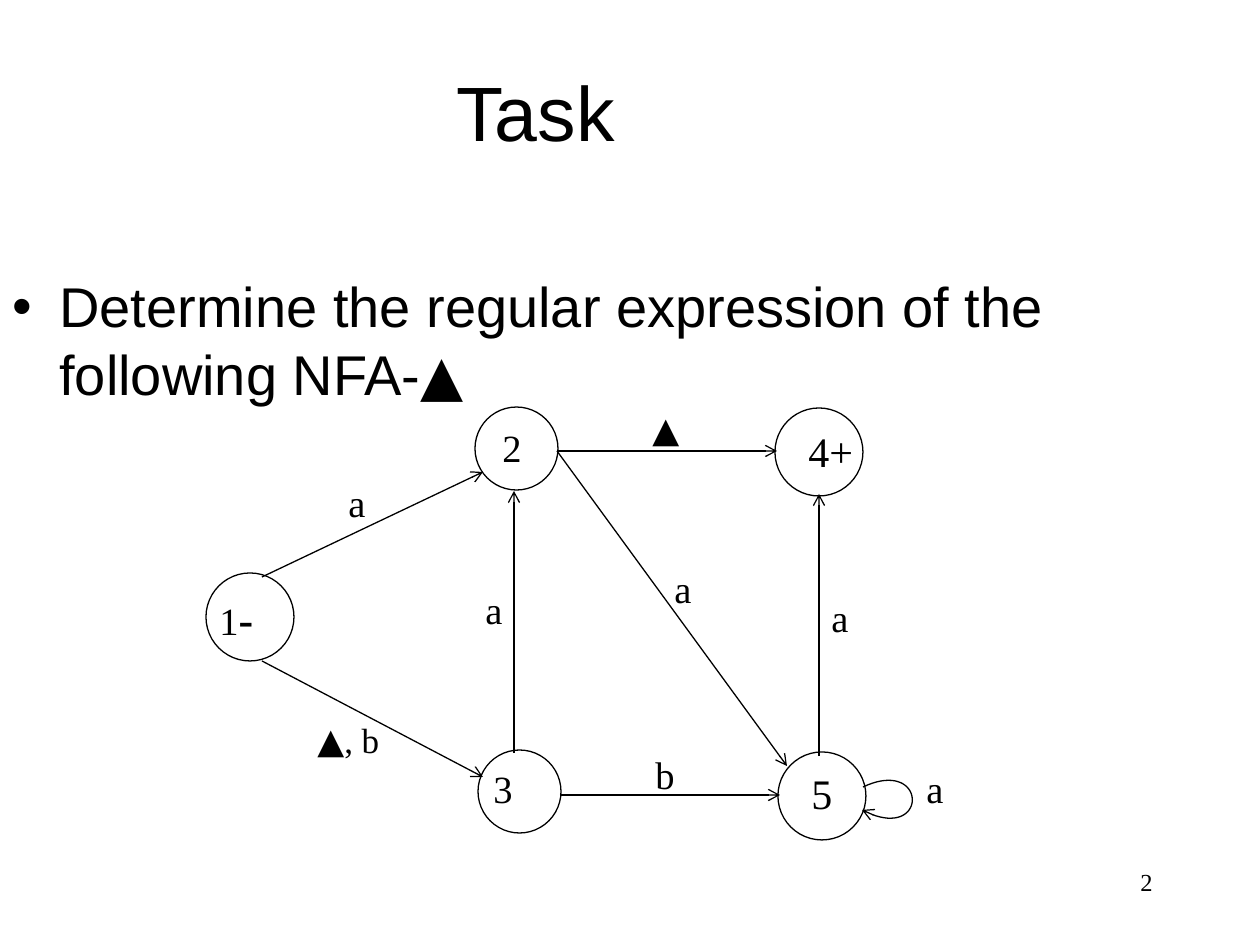
from dataclasses import dataclass

from lxml.etree import SubElement
from pptx import Presentation
from pptx.dml.color import RGBColor
from pptx.enum.shapes import MSO_CONNECTOR, MSO_SHAPE
from pptx.enum.text import MSO_ANCHOR, PP_ALIGN
from pptx.oxml.ns import qn
from pptx.util import Pt

SCALE = 914400 / 126


@dataclass(frozen=True)
class Theme:
    """Colours, fonts and type sizes of the slide."""
    ink: RGBColor = RGBColor(0, 0, 0)
    paper: RGBColor = RGBColor(255, 255, 255)
    sans: str = "Arial"
    serif: str = "Times New Roman"
    mark: str = "Cambria"
    title: int = 44
    body: int = 32
    big: int = 24
    dash: int = 25
    label: int = 22
    null: int = 20
    page: int = 14
    line: float = 0.75


def px(value):
    """Turn px into EMU."""
    return round(value * SCALE)


def put(para, text, *, font, size, color, bold=False):
    """Add one formatted run to a paragraph."""
    run = para.add_run()
    run.text = text
    run.font.name = font
    run.font.size = Pt(size)
    run.font.bold = bold
    run.font.color.rgb = color


class Sketch:
    """Draw text and automaton parts on one slide in one style."""

    def __init__(self, slide, theme):
        """Keep the slide and its theme."""
        self.shapes = slide.shapes
        self.theme = theme

    def text(self, box, *runs, align=PP_ALIGN.LEFT, anchor=MSO_ANCHOR.TOP, pad=6):
        """Add a text box of (text, font, size, bold) runs."""
        frame = self.shapes.add_textbox(*map(px, box)).text_frame
        frame.word_wrap = True
        frame.vertical_anchor = anchor
        frame.margin_top = px(pad)
        para = frame.paragraphs[0]
        para.alignment = align
        for text, font, size, *bold in runs:
            put(para, text, font=font, size=size, color=self.theme.ink, bold=any(bold))
        return para

    def bullet(self, box, *runs, indent):
        """Add a text box with one bulleted paragraph."""
        props = self.text(box, *runs, pad=12)._p.get_or_add_pPr()
        props.set("marL", str(px(indent)))
        props.set("indent", str(-px(indent)))
        SubElement(props, qn("a:buFont"), typeface=self.theme.sans)
        SubElement(props, qn("a:buChar"), char="•")

    def state(self, left, top, size):
        """Add the circle of a state."""
        ring = self.shapes.add_shape(MSO_SHAPE.OVAL, *map(px, (left, top, size, size)))
        ring.shadow.inherit = False
        ring.fill.solid()
        ring.fill.fore_color.rgb = self.theme.paper
        self.stroke(ring)

    def stroke(self, shape, arrow=False):
        """Style an outline, with an arrowhead at its end if asked."""
        shape.line.color.rgb = self.theme.ink
        shape.line.width = Pt(self.theme.line)
        if arrow:
            SubElement(shape.line._get_or_add_ln(), qn("a:tailEnd"), type="arrow")

    def edge(self, *ends):
        """Add an arrow from one point to another."""
        link = self.shapes.add_connector(MSO_CONNECTOR.STRAIGHT, *map(px, ends))
        self.stroke(link, arrow=True)
        SubElement(link._element.spPr, qn("a:effectLst"))

    def loop(self, *knots, steps=40):
        """Add a looping arrow along a cubic curve."""
        def spot(t):
            """Find the point at t on the curve."""
            parts = ((1 - t) ** 3, 3 * t * (1 - t) ** 2, 3 * t * t * (1 - t), t ** 3)
            return tuple(px(sum(k * v for k, v in zip(parts, axis))) for axis in zip(*knots))

        points = [spot(i / steps) for i in range(steps + 1)]
        path = self.shapes.build_freeform(*points[0])
        path.add_line_segments(points[1:], close=False)
        curve = path.convert_to_shape()
        curve.shadow.inherit = False
        curve.fill.background()
        self.stroke(curve, arrow=True)


def main():
    """Build and save the slide."""
    deck = Presentation()
    deck.slide_width, deck.slide_height = px(1260), px(945)
    theme = Theme()
    draw = Sketch(deck.slides.add_slide(deck.slide_layouts[6]), theme)

    draw.text((903, 861, 262, 63), ("2", theme.serif, theme.page), align=PP_ALIGN.RIGHT)
    draw.text((0, 32, 1071, 158), ("Task", theme.sans, theme.title),
              align=PP_ALIGN.CENTER, anchor=MSO_ANCHOR.MIDDLE)
    draw.bullet((0, 260, 1126, 575),
                ("Determine the regular expression of the following NFA-", theme.sans, theme.body),
                ("▲", theme.mark, theme.body), indent=47)

    for ring in ((475, 407, 83), (206, 573, 88), (775, 408, 88), (478, 750, 83), (778, 752, 88)):
        draw.state(*ring)

    for ends in ((557, 451, 777, 451), (560, 795, 780, 795), (262, 577, 483, 472),
                 (262, 661, 483, 777), (514, 753, 514, 491), (819, 756, 819, 494),
                 (557, 451, 787, 766)):
        draw.edge(*ends)
    draw.loop((863, 787), (929, 756), (929, 845), (862, 810))

    names = (("2", 490, 418, 126, theme.label), ("4+", 796, 420, 86, theme.big),
             ("3", 481, 759, 115, theme.label), ("5", 799, 762, 94, theme.big))
    for name, left, top, width, size in names:
        draw.text((left, top, width, 50), (name, theme.serif, size))
    draw.text((207, 586, 105, 54), ("1", theme.serif, theme.label),
              ("-", theme.serif, theme.dash, True))

    for sign, left, top in (("a", 336, 473), ("a", 473, 580), ("a", 662, 559),
                            ("a", 819, 588), ("a", 914, 759), ("b", 643, 745)):
        draw.text((left, top, 52, 50), (sign, theme.serif, theme.label))
    null = ("▲", theme.mark, theme.null)
    draw.text((640, 402, 52, 50), null)
    draw.text((305, 712, 105, 55), null, (", b", theme.serif, theme.null))

    deck.save("out.pptx")


if __name__ == "__main__":
    main()
